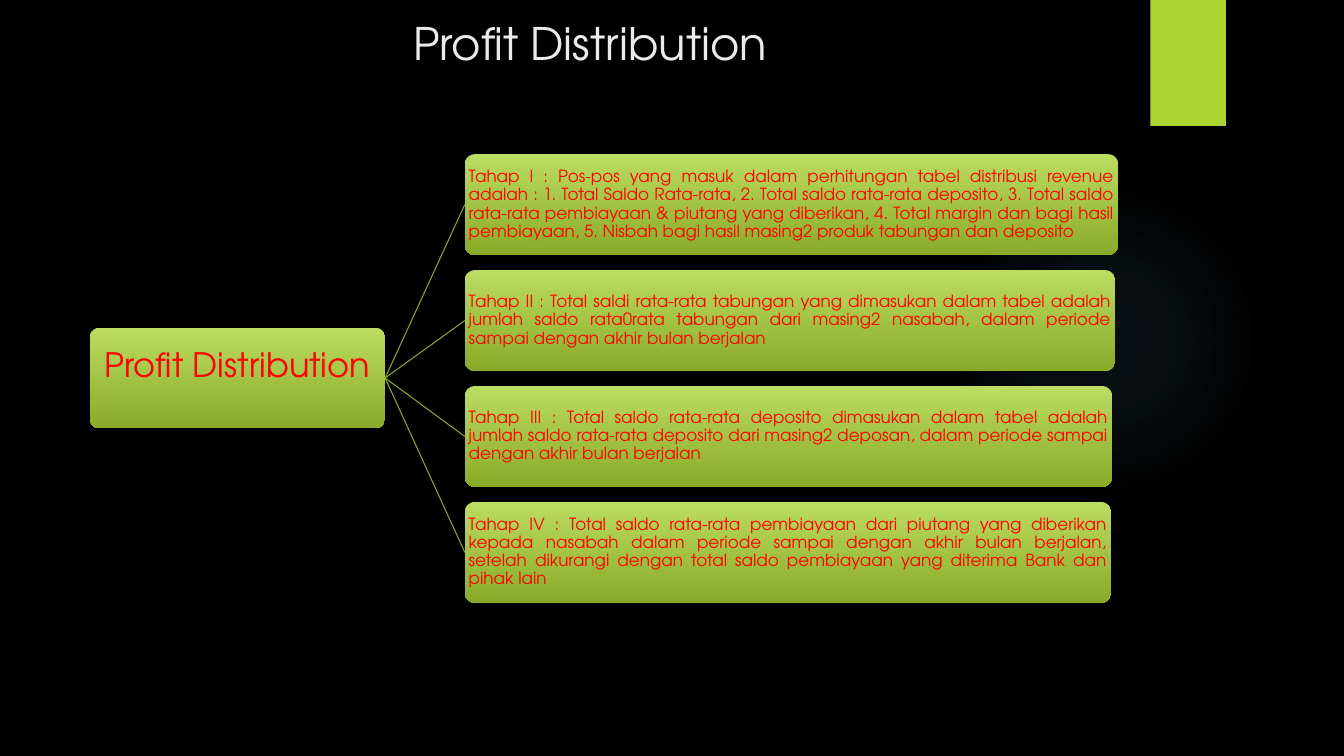
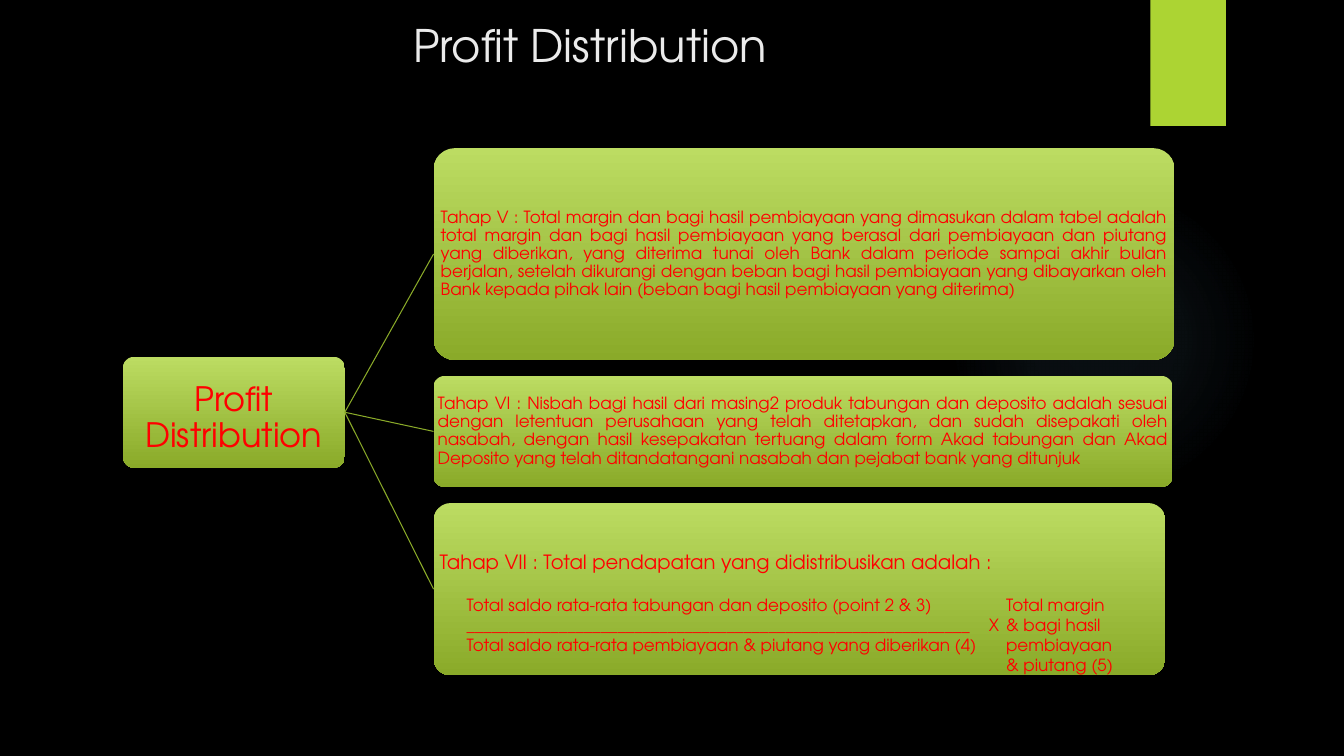
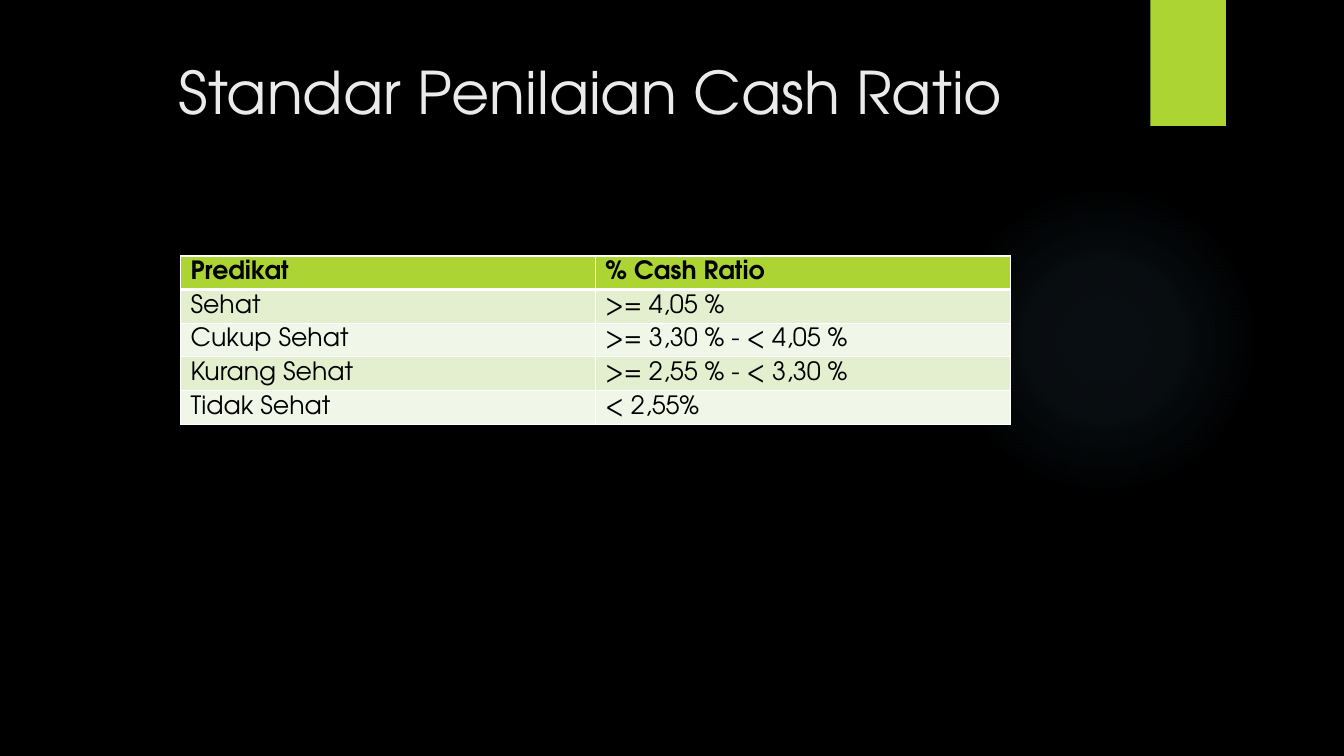
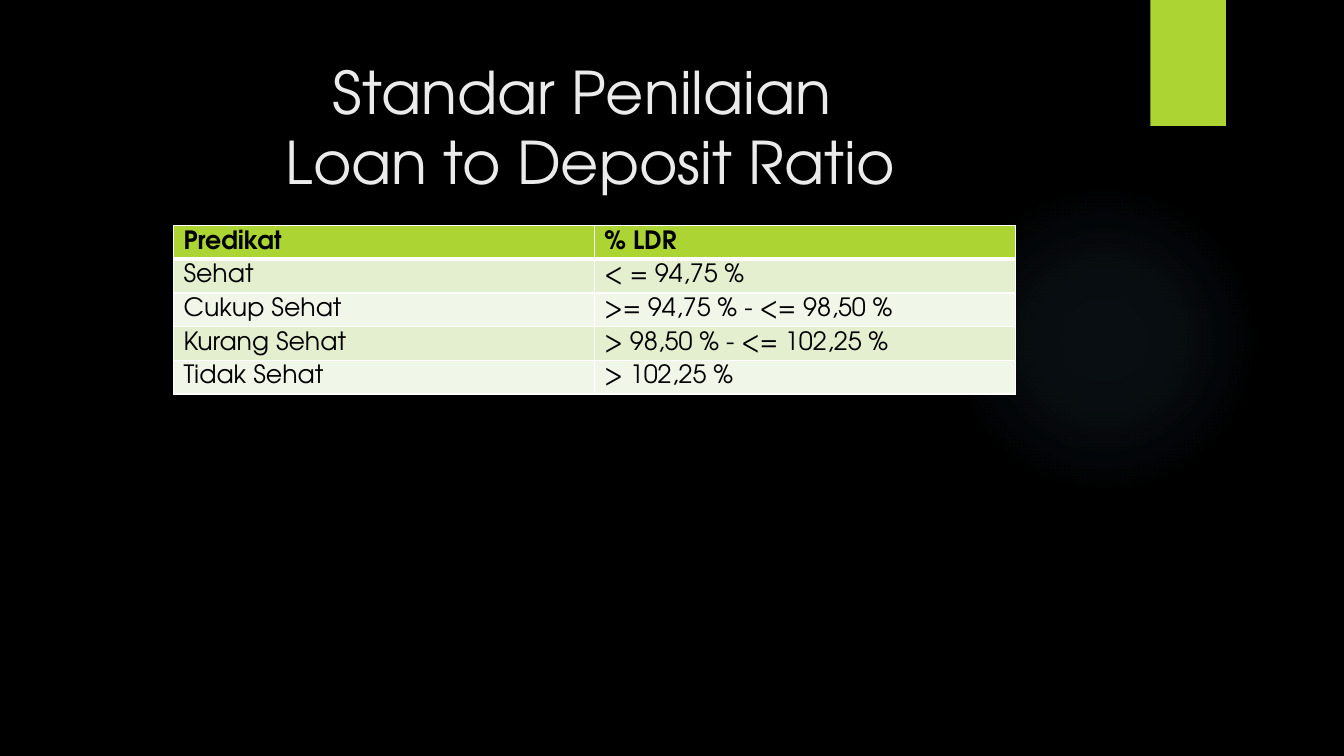
import dataclasses

import lxml.etree
import pptx
import pptx.dml.color
import pptx.enum.shapes
import pptx.enum.text
import pptx.oxml
import pptx.oxml.ns
import pptx.shapes.autoshape
import pptx.slide
import pptx.table
import pptx.text.text
import pptx.util

Inches = pptx.util.Inches
Pt = pptx.util.Pt
ALIGN = pptx.enum.text.PP_ALIGN
ANCHOR = pptx.enum.text.MSO_ANCHOR
SHAPE = pptx.enum.shapes.MSO_SHAPE
qn = pptx.oxml.ns.qn

FONT = "TeX Gyre Adventor"
COLORS = {
    "background": "000000",
    "title": "EBEBEB",
    "accent": "ACD433",
    "halo": "7AC4F0",
    "box_top": "BCDC62",
    "box_bottom": "8AAA29",
    "box_text": "FF0000",
    "table_text": "000000",
    "border": "FFFFFF",
    "odd_row": "E3EFCE",
    "even_row": "F1F7E8",
}


@dataclasses.dataclass(frozen=True)
class Heading:
    text: str
    top: float
    height: float
    size: float


@dataclasses.dataclass(frozen=True)
class Box:
    text: str
    width: float
    height: float
    size: float = 12
    align: ALIGN = ALIGN.JUSTIFY
    inset: float = 0.01
    extra_top: float = 0
    extra_bottom: float = 0


@dataclasses.dataclass(frozen=True)
class Tree:
    """A root box joined to a column of stage boxes."""
    heading: Heading
    root: Box
    root_left: float
    root_top: float
    stages: tuple[Box, ...]
    stages_left: float
    stages_top: float
    gap: float


@dataclasses.dataclass(frozen=True)
class Rating:
    heading: Heading
    left: float
    top: float
    width: float
    rows: tuple[tuple[str, str], ...]


TREES = (
    Tree(
        heading=Heading("Profit Distribution", 0.11, 0.61, 32),
        root=Box("Profit Distribution", 2.93, 1, 24, ALIGN.CENTER, 0.02, extra_bottom=0.22),
        root_left=0.89, root_top=3.25,
        stages=(
            Box("Tahap I : Pos-pos yang masuk dalam perhitungan tabel distribusi revenue adalah : "
                "1. Total Saldo Rata-rata, 2. Total saldo rata-rata deposito, 3. Total saldo "
                "rata-rata pembiayaan & piutang yang diberikan, 4. Total margin dan bagi hasil "
                "pembiayaan, 5. Nisbah bagi hasil masing2 produk tabungan dan deposito", 6.48, 1),
            Box("Tahap II : Total saldi rata-rata tabungan yang dimasukan dalam tabel adalah "
                "jumlah saldo rata0rata tabungan dari masing2 nasabah, dalam periode sampai "
                "dengan akhir bulan berjalan", 6.45, 1),
            Box("Tahap III : Total saldo rata-rata deposito dimasukan dalam tabel adalah jumlah "
                "saldo rata-rata deposito dari masing2 deposan, dalam periode sampai dengan "
                "akhir bulan berjalan", 6.42, 1),
            Box("Tahap IV : Total saldo rata-rata pembiayaan dari piutang yang diberikan kepada "
                "nasabah dalam periode sampai dengan akhir bulan berjalan, setelah dikurangi "
                "dengan total saldo pembiayaan yang diterima Bank dan pihak lain", 6.41, 1),
        ),
        stages_left=4.61, stages_top=1.53, gap=0.15,
    ),
    Tree(
        heading=Heading("Profit Distribution", 0.13, 0.95, 32),
        root=Box("Profit Distribution", 2.2, 1.1, 24, ALIGN.CENTER, 0.02, extra_top=0.13),
        root_left=1.22, root_top=3.54,
        stages=(
            Box("Tahap V : Total margin dan bagi hasil pembiayaan yang dimasukan dalam tabel "
                "adalah total margin dan bagi hasil pembiayaan yang berasal dari pembiayaan dan "
                "piutang yang diberikan, yang diterima tunai oleh Bank dalam periode sampai "
                "akhir bulan berjalan, setelah dikurangi dengan beban bagi hasil pembiayaan "
                "yang dibayarkan oleh Bank kepada pihak lain (beban bagi hasil pembiayaan yang "
                "diterima)", 7.35, 2.1),
            Box("Tahap VI : Nisbah bagi hasil dari masing2 produk tabungan dan deposito adalah "
                "sesuai dengan letentuan perusahaan yang telah ditetapkan, dan sudah disepakati "
                "oleh nasabah, dengan hasil kesepakatan tertuang dalam form Akad tabungan dan "
                "Akad Deposito yang telah ditandatangani nasabah dan pejabat bank yang ditunjuk",
                7.33, 1.1),
            Box("Tahap VII : Total pendapatan yang didistribusikan adalah :", 7.26, 1.71, 14,
                extra_bottom=0.52),
        ),
        stages_left=4.3, stages_top=1.47, gap=0.16,
    ),
)

FORMULA_LINES = (
    "Total saldo rata-rata tabungan dan deposito (point 2 & 3)\t\tTotal margin",
    "_" * 60 + "\tX\t& bagi hasil",
    "Total saldo rata-rata pembiayaan & piutang yang diberikan (4)\t\tpembiayaan",
    "\t\t& piutang (5)",
)
FORMULA_TABS = (5.18, 5.35)

RATINGS = (
    Rating(
        Heading("Standar Penilaian Cash Ratio", 0.5, 1.53, 42), 1.79, 2.54, 8.23,
        (
            ("Predikat", "% Cash Ratio"),
            ("Sehat", ">= 4,05 %"),
            ("Cukup Sehat", ">= 3,30 % - < 4,05 %"),
            ("Kurang Sehat", ">= 2,55 % - < 3,30 %"),
            ("Tidak Sehat", "< 2,55%"),
        ),
    ),
    Rating(
        Heading("Standar Penilaian \vLoan to Deposit Ratio", 0.5, 1.53, 42), 1.72, 2.24, 8.35,
        (
            ("Predikat", "% LDR"),
            ("Sehat", "< = 94,75 %"),
            ("Cukup Sehat", ">= 94,75 % - <= 98,50 %"),
            ("Kurang Sehat", "> 98,50 % - <= 102,25 %"),
            ("Tidak Sehat", "> 102,25 %"),
        ),
    ),
)


def rgb(name: str) -> pptx.dml.color.RGBColor:
    return pptx.dml.color.RGBColor.from_string(COLORS[name])


def set_font(paragraph: pptx.text.text._Paragraph, size: float, color: str,
             bold: bool = False) -> None:
    font = paragraph.font
    font.name, font.size, font.bold = FONT, Pt(size), bold
    font.color.rgb = rgb(color)


def add_plain_shape(slide: pptx.slide.Slide, kind: SHAPE, left: float, top: float,
                    width: float, height: float) -> pptx.shapes.autoshape.Shape:
    """Add a shape with neither line nor shadow."""
    shape = slide.shapes.add_shape(kind, Inches(left), Inches(top), Inches(width), Inches(height))
    shape.shadow.inherit = False
    shape.line.fill.background()
    return shape


def fill_halo(halo: pptx.shapes.autoshape.Shape) -> None:
    """Give the shape a radial gradient that fades to clear."""
    stops = "".join(
        f'<a:gs pos="{place * 1000}"><a:srgbClr val="{COLORS["halo"]}">'
        f'<a:alpha val="{alpha * 1000}"/></a:srgbClr></a:gs>'
        for place, alpha in ((0, 7), (36, 6), (69, 0))
    )
    gradient = pptx.oxml.parse_xml(
        f'<a:gradFill {pptx.oxml.ns.nsdecls("a")} rotWithShape="1"><a:gsLst>{stops}</a:gsLst>'
        '<a:path path="circle"><a:fillToRect l="50000" t="50000" r="50000" b="50000"/></a:path>'
        '</a:gradFill>'
    )
    halo.fill.background()
    properties = halo.element.spPr
    properties.replace(properties.find(qn("a:noFill")), gradient)


def decorate_layout(layout: pptx.slide.SlideLayout, slide: pptx.slide.Slide) -> None:
    """Draw the shared halo and tab on a slide, then move them to its layout."""
    for placeholder in list(layout.placeholders):
        if placeholder.placeholder_format.idx != 0:
            placeholder.element.getparent().remove(placeholder.element)
    layout.background.fill.solid()
    layout.background.fill.fore_color.rgb = rgb("background")
    halo = add_plain_shape(slide, SHAPE.OVAL, 9.41, 1.83, 3.08, 3.08)
    fill_halo(halo)
    tab = add_plain_shape(slide, SHAPE.RECTANGLE, 11.41, 0, 0.75, 1.25)
    tab.fill.solid()
    tab.fill.fore_color.rgb = rgb("accent")
    for decoration in (halo, tab):
        layout.shapes.element.append(decoration.element)


def set_title(slide: pptx.slide.Slide, heading: Heading) -> None:
    title = slide.shapes.title
    title.left, title.top = Inches(0.71), Inches(heading.top)
    title.width, title.height = Inches(10.29), Inches(heading.height)
    frame = title.text_frame
    frame.text = heading.text
    frame.word_wrap = True
    frame.auto_size = pptx.enum.text.MSO_AUTO_SIZE.NONE
    frame.vertical_anchor = ANCHOR.TOP
    frame.paragraphs[0].alignment = ALIGN.CENTER
    set_font(frame.paragraphs[0], heading.size, "title")


def add_box(slide: pptx.slide.Slide, box: Box, left: float,
            top: float) -> pptx.shapes.autoshape.Shape:
    shape = add_plain_shape(slide, SHAPE.ROUNDED_RECTANGLE, left, top, box.width, box.height)
    shape.adjustments[0] = 0.1
    shape.fill.gradient()
    shape.fill.gradient_angle = 270
    for stop, color, position in zip(shape.fill.gradient_stops, ("box_top", "box_bottom"), (0, 1)):
        stop.color.rgb = rgb(color)
        stop.position = position
    frame = shape.text_frame
    frame.word_wrap = True
    frame.vertical_anchor = ANCHOR.MIDDLE
    frame.margin_left = frame.margin_right = Inches(box.inset)
    frame.margin_top = Inches(box.inset + box.extra_top)
    frame.margin_bottom = Inches(box.inset + box.extra_bottom)
    frame.text = box.text
    paragraph = frame.paragraphs[0]
    paragraph.alignment = box.align
    paragraph.line_spacing = 0.9
    set_font(paragraph, box.size, "box_text")
    return shape


def add_branch(slide: pptx.slide.Slide, root: pptx.shapes.autoshape.Shape,
               stage: pptx.shapes.autoshape.Shape) -> None:
    branch = slide.shapes.add_connector(pptx.enum.shapes.MSO_CONNECTOR.STRAIGHT, 0, 0, 0, 0)
    branch.begin_connect(root, 3)
    branch.end_connect(stage, 1)
    branch.line.color.rgb = rgb("box_bottom")
    branch.line.width = Pt(0.75)
    lxml.etree.SubElement(branch.element.spPr, qn("a:effectLst"))


def draw_tree(slide: pptx.slide.Slide, tree: Tree) -> None:
    set_title(slide, tree.heading)
    root = add_box(slide, tree.root, tree.root_left, tree.root_top)
    top = tree.stages_top
    for box in tree.stages:
        add_branch(slide, root, add_box(slide, box, tree.stages_left, top))
        top += box.height + tree.gap


def add_formula(slide: pptx.slide.Slide) -> None:
    formula = slide.shapes.add_textbox(Inches(4.53), Inches(5.85), Inches(6.92), Inches(0.91))
    frame = formula.text_frame
    frame.word_wrap = True
    frame.text = "\n".join(FORMULA_LINES)
    for paragraph in frame.paragraphs:
        tabs = lxml.etree.SubElement(paragraph._p.get_or_add_pPr(), qn("a:tabLst"))
        for position in FORMULA_TABS:
            lxml.etree.SubElement(tabs, qn("a:tab"), pos=str(Inches(position)), algn="l")
        set_font(paragraph, 12, "box_text")


def set_borders(cell: pptx.table._Cell, top: float, bottom: float) -> None:
    properties = cell._tc.get_or_add_tcPr()
    for side, width in (("L", 1), ("R", 1), ("T", top), ("B", bottom)):
        line = lxml.etree.SubElement(properties, qn(f"a:ln{side}"), w=str(Pt(width)))
        solid = lxml.etree.SubElement(line, qn("a:solidFill"))
        lxml.etree.SubElement(solid, qn("a:srgbClr"), val=COLORS["border"])


def draw_rating(slide: pptx.slide.Slide, rating: Rating) -> None:
    set_title(slide, rating.heading)
    row_height = 0.33
    table = slide.shapes.add_table(
        len(rating.rows), 2, Inches(rating.left), Inches(rating.top),
        Inches(rating.width), Inches(row_height * len(rating.rows)),
    ).table
    for index, values in enumerate(rating.rows):
        table.rows[index].height = Inches(row_height)
        is_header = index == 0
        fill = "accent" if is_header else "odd_row" if index % 2 else "even_row"
        for column, value in enumerate(values):
            cell = table.cell(index, column)
            set_borders(cell, top=3 if index == 1 else 1, bottom=3 if is_header else 1)
            cell.fill.solid()
            cell.fill.fore_color.rgb = rgb(fill)
            cell.text = value
            set_font(cell.text_frame.paragraphs[0], 18, "table_text", bold=is_header)


def main() -> None:
    deck = pptx.Presentation()
    deck.slide_width, deck.slide_height = Inches(13.33), Inches(7.5)
    layout = deck.slide_layouts[5]
    slides = [deck.slides.add_slide(layout) for _ in TREES + RATINGS]
    decorate_layout(layout, slides[0])
    for slide, tree in zip(slides, TREES):
        draw_tree(slide, tree)
    add_formula(slides[1])
    for slide, rating in zip(slides[len(TREES):], RATINGS):
        draw_rating(slide, rating)
    deck.save("out.pptx")


if __name__ == "__main__":
    main()
